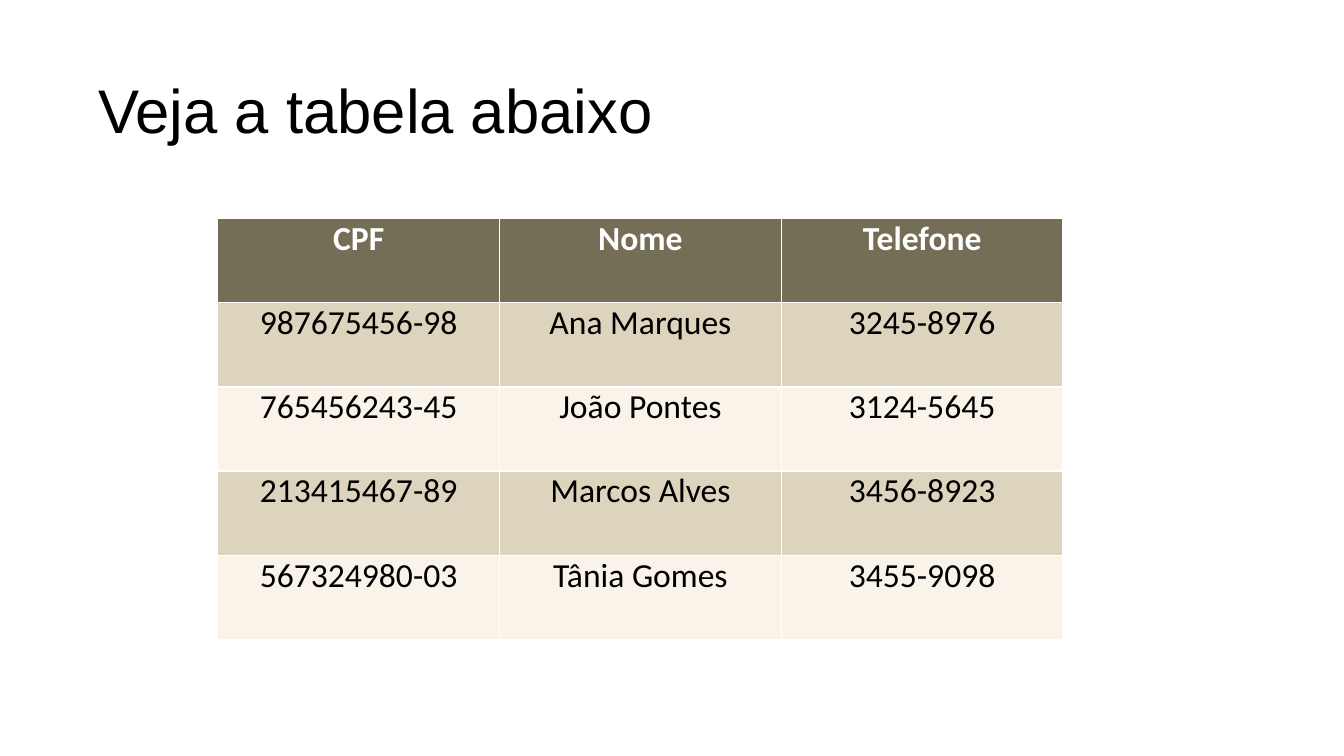
from pptx import Presentation
from pptx.dml.color import RGBColor
from pptx.enum.text import MSO_ANCHOR, PP_ALIGN
from pptx.oxml import parse_xml
from pptx.oxml.ns import nsdecls
from pptx.util import Cm, Pt

MIDDLE, TOP = MSO_ANCHOR.MIDDLE, MSO_ANCHOR.TOP
LEFT, CENTER = PP_ALIGN.LEFT, PP_ALIGN.CENTER

TITLE = "Veja a tabela abaixo"
ROWS = [
    ("CPF", "Nome", "Telefone"),
    ("987675456-98", "Ana Marques", "3245-8976"),
    ("765456243-45", "João Pontes", "3124-5645"),
    ("213415467-89", "Marcos Alves", "3456-8923"),
    ("567324980-03", "Tânia Gomes", "3455-9098"),
]
COLORS = {
    "text": "000000",
    "white": "FFFFFF",
    "head": "756E56",
    "odd": "DCD4BD",
    "even": "F9F3EA",
}
COL_W, ROW_H = Cm(7.1), Cm(2.12)


def color(name):
    return RGBColor.from_string(COLORS[name])


def style(par, face, size, tint, align, bold=False):
    par.alignment = align
    font = par.font
    font.name, font.size, font.bold = face, Pt(size), bold
    font.color.rgb = color(tint)


def trim(box):
    """Set all four inner margins to zero."""
    box.margin_left = box.margin_right = 0
    box.margin_top = box.margin_bottom = 0


def border(cell):
    props = cell._tc.get_or_add_tcPr()
    for place, side in enumerate("LRTB"):
        line = parse_xml(
            f'<a:ln{side} {nsdecls("a")} w="{Pt(1)}"><a:solidFill>'
            f'<a:srgbClr val="{COLORS["white"]}"/></a:solidFill></a:ln{side}>'
        )
        props.insert(place, line)


def add_title(slide):
    title = slide.shapes.title
    title.left, title.top = Cm(2.33), Cm(1.02)
    title.width, title.height = Cm(29.21), Cm(3.68)
    frame = title.text_frame
    trim(frame)
    frame.margin_left = Cm(0.14)
    frame.vertical_anchor = MIDDLE
    frame.text = TITLE
    par = frame.paragraphs[0]
    par.line_spacing = 0.9
    style(par, "Arial", 44, "text", LEFT)


def add_grid(slide):
    count, wide = len(ROWS), len(ROWS[0])
    table = slide.shapes.add_table(
        count, wide, Cm(5.49), Cm(5.51), COL_W * wide, ROW_H * count
    ).table
    for col in table.columns:
        col.width = COL_W
    for r, row in enumerate(ROWS):
        table.rows[r].height = ROW_H
        head = r == 0
        fill = "head" if head else "odd" if r % 2 else "even"
        for c, text in enumerate(row):
            cell = table.cell(r, c)
            trim(cell)
            cell.vertical_anchor = TOP
            cell.text = text
            cell.fill.solid()
            cell.fill.fore_color.rgb = color(fill)
            border(cell)
            tint = "white" if head else "text"
            style(cell.text_frame.paragraphs[0], "Calibri", 24, tint, CENTER, head)


def main():
    deck = Presentation()
    deck.slide_width, deck.slide_height = Cm(33.87), Cm(19.05)
    slide = deck.slides.add_slide(deck.slide_layouts[5])
    add_title(slide)
    add_grid(slide)
    deck.save("out.pptx")


if __name__ == "__main__":
    main()
